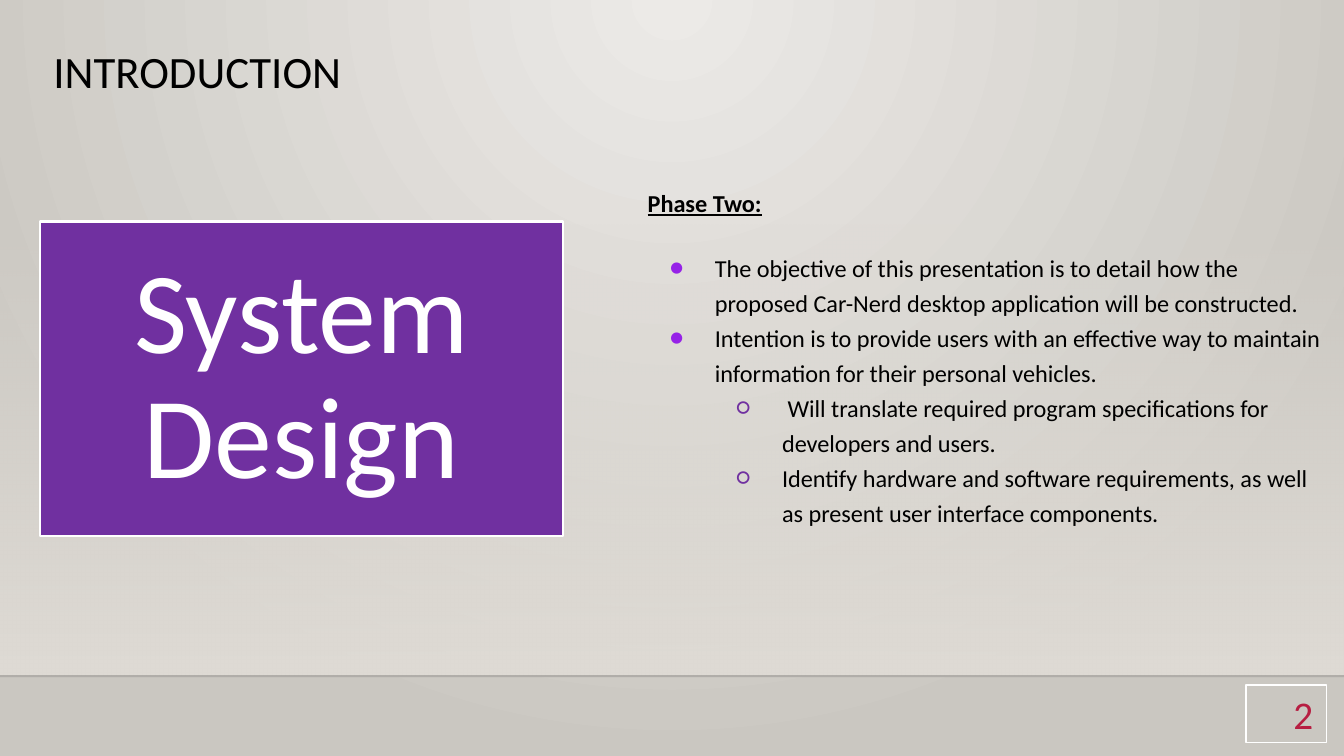
from lxml.etree import SubElement
from pptx import Presentation
from pptx.dml.color import RGBColor
from pptx.enum.shapes import MSO_CONNECTOR, MSO_SHAPE
from pptx.enum.text import MSO_ANCHOR, MSO_AUTO_SIZE, PP_ALIGN
from pptx.oxml.ns import qn
from pptx.util import Cm, Pt

FONT = "Calibri"
BLACK = RGBColor(0x00, 0x00, 0x00)
HORIZON = RGBColor(0x00, 0x00, 0x01)
WHITE = RGBColor(0xFF, 0xFF, 0xFF)
PURPLE = RGBColor(0x70, 0x30, 0xA0)
VIOLET = RGBColor(0x96, 0x22, 0xE7)
CRIMSON = RGBColor(0xB7, 0x1E, 0x42)
GLOW = RGBColor(0xEC, 0xEA, 0xE7)
STONE = RGBColor(0xCA, 0xC7, 0xC1)
SAND = RGBColor(0xDF, 0xDB, 0xD5)

WIDTH, HEIGHT = Cm(25.4), Cm(14.29)
FLOOR_TOP = Cm(12.78)
INSET = Cm(0.25)
BULLETS = [("●", VIOLET), ("○", PURPLE)]
INDENT = Cm(1.27)
HANGING = Cm(0.86)
POINTS = [
    (0, "The objective of this presentation is to detail how the proposed "
        "Car-Nerd desktop application will be constructed."),
    (0, "Intention is to provide users with an effective way to maintain "
        "information for their personal vehicles."),
    (1, " Will translate required program specifications for developers and users."),
    (1, "Identify hardware and software requirements, as well as present "
        "user interface components."),
]


def apply(target, values):
    for name, value in values.items():
        setattr(target, name, value)


def place(shape, box):
    apply(shape, dict(zip(("left", "top", "width", "height"), box)))


def format_frame(frame, inset=INSET, anchor=MSO_ANCHOR.TOP):
    apply(frame, {"word_wrap": True, "auto_size": MSO_AUTO_SIZE.NONE,
                  "vertical_anchor": anchor})
    for side in ("left", "top", "right", "bottom"):
        setattr(frame, f"margin_{side}", inset)


def write(paragraph, text, size, color, layout, **style):
    apply(paragraph, {"space_before": Pt(0), **layout})
    run = paragraph.add_run()
    run.text = text
    apply(run.font, {"name": FONT, "size": Pt(size), **style})
    run.font.color.rgb = color


def set_alpha(element, percent):
    SubElement(element, qn("a:alpha"), val=str(percent * 1000))


def set_gradient(fill, colors):
    fill.gradient()
    for stop, color in zip(fill.gradient_stops, colors):
        stop.color.rgb = color


def add_box(slide, box, line_width):
    shape = slide.shapes.add_shape(MSO_SHAPE.RECTANGLE, *box)
    shape.shadow.inherit = False
    shape.line.color.rgb = WHITE
    shape.line.width = Pt(line_width)
    return shape


def add_backdrop(slide, box):
    # Radial glow from the top centre
    set_gradient(slide.background.fill, (GLOW, STONE))
    gradient = slide.element.find(".//" + qn("a:gradFill"))
    linear = gradient.find(qn("a:lin"))
    circle = SubElement(gradient, qn("a:path"), path="circle")
    SubElement(circle, qn("a:fillToRect"), l="43000", t="0", r="43000", b="100000")
    gradient.replace(linear, circle)

    # Wall fading in towards the floor
    wall = slide.shapes.add_shape(MSO_SHAPE.RECTANGLE, *box)
    wall.shadow.inherit = False
    wall.line.fill.background()
    set_gradient(wall.fill, (SAND, SAND))
    wall.fill.gradient_angle = 270
    set_alpha(wall.element.find(".//" + qn("a:srgbClr")), 0)

    # Floor line
    left, top, width, height = box
    floor = slide.shapes.add_connector(
        MSO_CONNECTOR.STRAIGHT, left, top + height, left + width, top + height)
    floor.line.color.rgb = HORIZON
    floor.line.width = Pt(1)
    set_alpha(floor.element.find(".//" + qn("a:srgbClr")), 20)
    SubElement(floor.element.spPr, qn("a:effectLst"))


def add_title(slide, box):
    title = slide.shapes.title
    place(title, box)
    format_frame(title.text_frame)
    write(title.text_frame.paragraphs[0], "INTRODUCTION", 24, BLACK,
          {"alignment": PP_ALIGN.LEFT, "line_spacing": 0.9})


def set_bullet(paragraph, level):
    character, color = BULLETS[level]
    properties = paragraph._p.get_or_add_pPr()
    properties.set("marL", str(INDENT * (level + 1)))
    properties.set("indent", str(-HANGING))
    bullet_color = SubElement(properties, qn("a:buClr"))
    SubElement(bullet_color, qn("a:srgbClr"), val=str(color))
    SubElement(properties, qn("a:buFont"), typeface=FONT)
    SubElement(properties, qn("a:buChar"), char=character)


def add_phase(slide, box):
    body = slide.placeholders[1]
    place(body, box)
    frame = body.text_frame
    format_frame(frame)

    # Heading without a bullet
    heading = frame.paragraphs[0]
    properties = heading._p.get_or_add_pPr()
    apply_indent = {"marL": "0", "indent": "0"}
    for name, value in apply_indent.items():
        properties.set(name, value)
    SubElement(properties, qn("a:buNone"))
    write(heading, "Phase Two:", 13, BLACK, {"line_spacing": 1.2},
          bold=True, underline=True)

    # Bulleted points on two levels
    for index, (level, text) in enumerate(POINTS):
        paragraph = frame.add_paragraph()
        set_bullet(paragraph, level)
        write(paragraph, text, 13, BLACK,
              {"level": level, "line_spacing": 1.2,
               "space_before": Pt(0 if index else 16)})


def add_topic_panel(slide, box):
    panel = add_box(slide, box, 1.25)
    panel.fill.solid()
    panel.fill.fore_color.rgb = PURPLE
    format_frame(panel.text_frame, Cm(0.66), MSO_ANCHOR.MIDDLE)
    write(panel.text_frame.paragraphs[0], "System Design", 62, WHITE,
          {"alignment": PP_ALIGN.CENTER, "line_spacing": 0.9})


def add_page_number(slide, box):
    number = add_box(slide, box, 0.75)
    number.fill.background()
    format_frame(number.text_frame, anchor=MSO_ANCHOR.MIDDLE)
    write(number.text_frame.paragraphs[0], "2", 21, CRIMSON,
          {"alignment": PP_ALIGN.RIGHT})


def main():
    presentation = Presentation()
    apply(presentation, {"slide_width": WIDTH, "slide_height": HEIGHT})
    slide = presentation.slides.add_slide(presentation.slide_layouts[1])
    wall_top = Cm(4.22)
    add_backdrop(slide, (0, wall_top, WIDTH, FLOOR_TOP - wall_top))
    # Bring the text placeholders in front of the backdrop
    for placeholder in list(slide.placeholders):
        slide.shapes._spTree.append(placeholder.element)
    add_title(slide, (Cm(0.76), Cm(0.69), Cm(23.67), Cm(1.6)))
    add_phase(slide, (Cm(11.99), Cm(3.2), Cm(13.28), Cm(10.34)))
    add_topic_panel(slide, (Cm(0.76), Cm(4.19), Cm(9.88), Cm(5.94)))
    add_page_number(slide, (Cm(23.55), Cm(12.95), Cm(1.52), Cm(1.09)))
    presentation.save("out.pptx")


if __name__ == "__main__":
    main()
